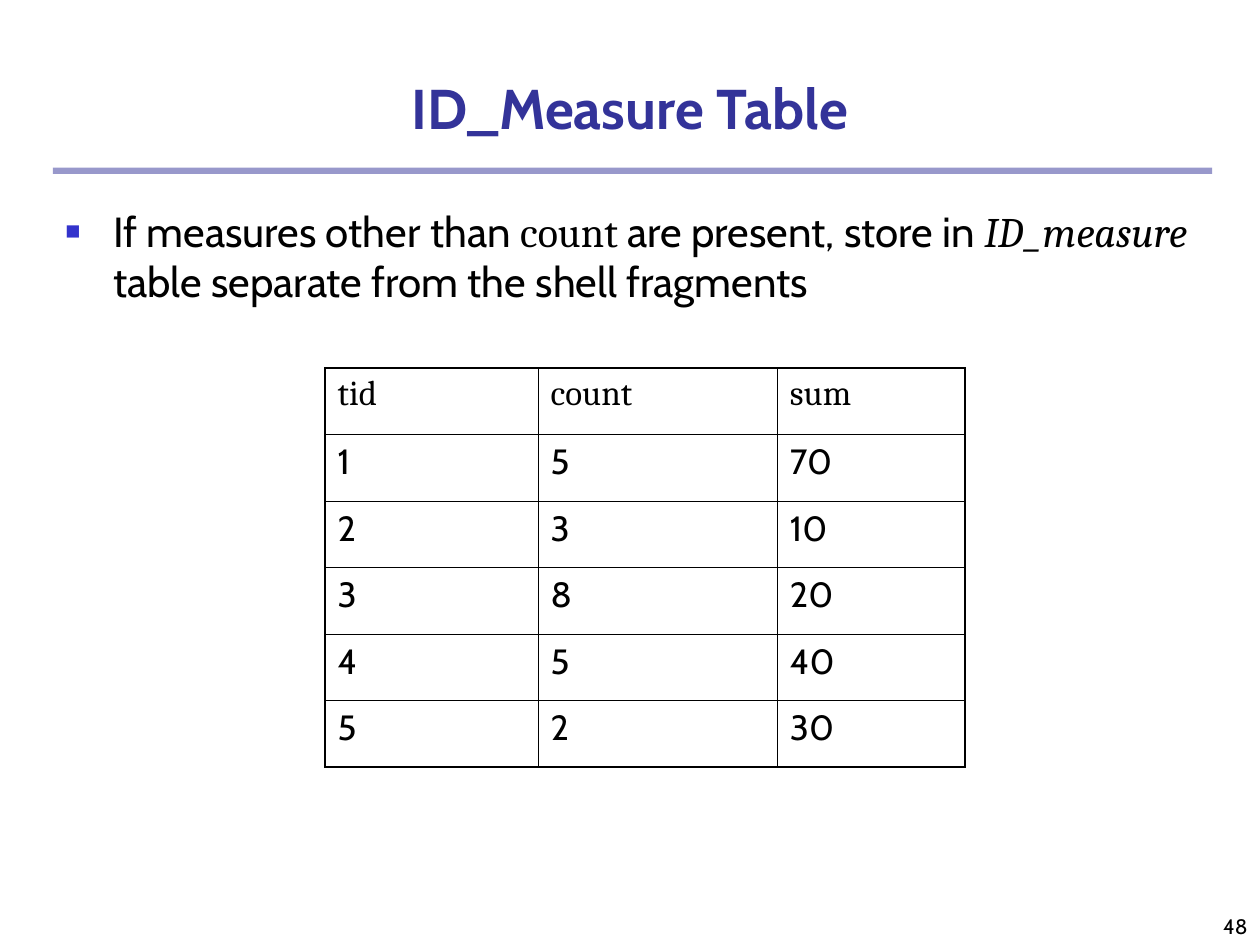
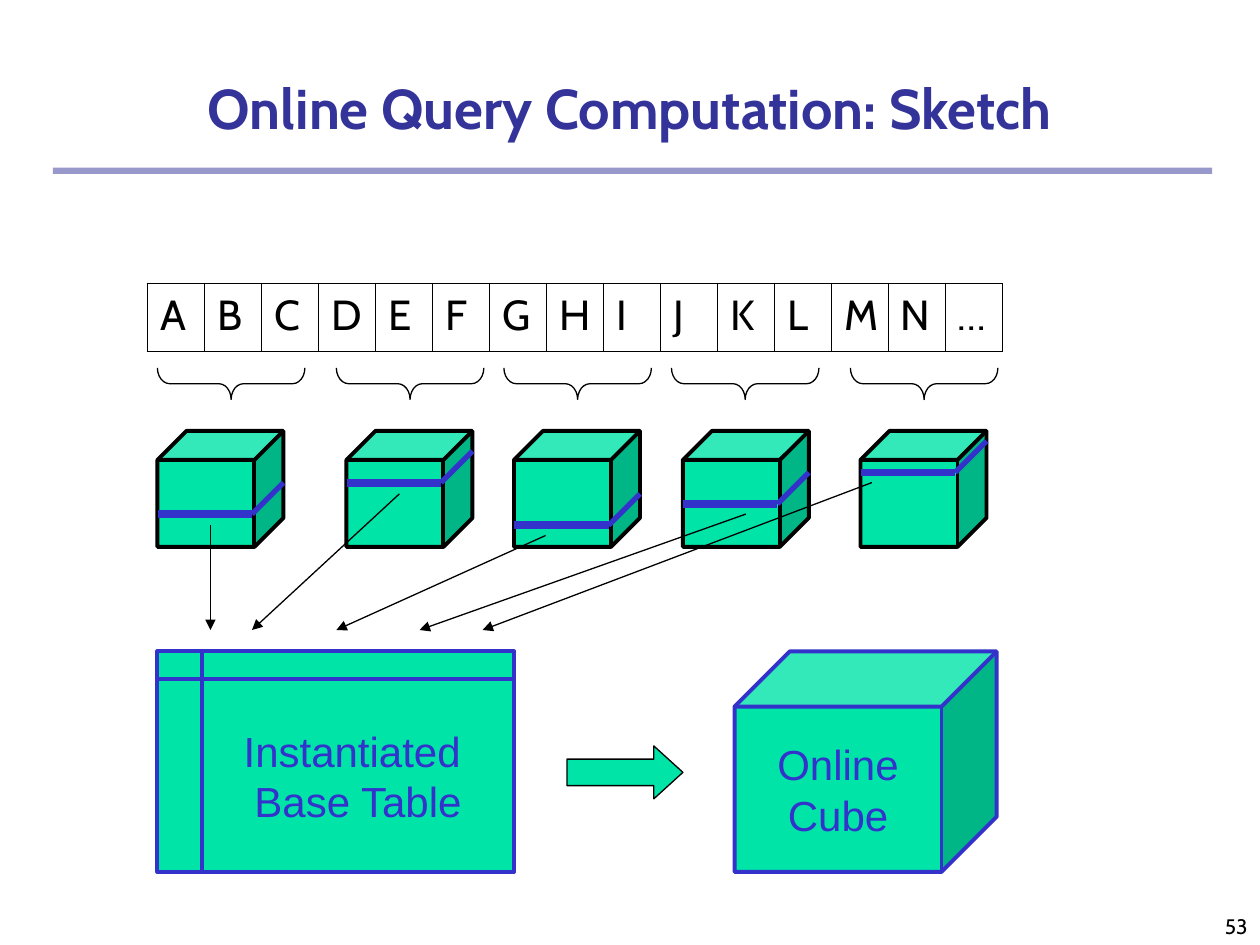
from dataclasses import dataclass

from lxml.etree import SubElement
from pptx import Presentation
from pptx.dml.color import RGBColor
from pptx.enum.shapes import MSO_CONNECTOR as CONN, MSO_SHAPE as SHAPE
from pptx.enum.text import MSO_ANCHOR as ANCHOR, MSO_AUTO_SIZE as AUTO, PP_ALIGN as ALIGN
from pptx.oxml.ns import qn
from pptx.util import Inches, Pt


@dataclass(frozen=True)
class Theme:
    title: RGBColor = RGBColor(0x33, 0x33, 0x99)
    accent: RGBColor = RGBColor(0x33, 0x33, 0xCC)
    green: RGBColor = RGBColor(0x00, 0xE4, 0xA8)
    ink: RGBColor = RGBColor(0, 0, 0)
    sans: str = "Cabin"
    serif: str = "Cambria"
    label: str = "Arial"
    title_pt: int = 32
    body_pt: int = 24
    cell_pt: int = 20
    number_pt: int = 12
    outer_pt: float = 1.08
    inner_pt: float = 0.45


T = Theme()


def add_run(p, text, size, name=T.sans, color=T.ink, **extra):
    r = p.add_run()
    r.text = text
    r.font.color.rgb = color
    for key, value in {"size": Pt(size), "name": name, **extra}.items():
        setattr(r.font, key, value)


def add_line(s, start, end, color, width, arrow=False):
    c = s.shapes.add_connector(CONN.STRAIGHT, *[Inches(v) for v in (*start, *end)])
    c.line.color.rgb = color
    c.line.width = Pt(width)
    if arrow:
        SubElement(c.line._get_or_add_ln(), qn("a:tailEnd"), type="triangle")
    SubElement(c.element.spPr, qn("a:effectLst"))


prs = Presentation()
prs.slide_width, prs.slide_height = Inches(10), Inches(7.5)

# Shared frame: rule, page number, title
slides = []
for title, number in (("ID_Measure Table", "48"), ("Online Query Computation: Sketch", "53")):
    s = prs.slides.add_slide(prs.slide_layouts[5])
    slides.append(s)

    rule = s.shapes.add_shape(SHAPE.RECTANGLE, Inches(0.42), Inches(1.33), Inches(9.2), Inches(0.05))
    rule.shadow.inherit = False
    rule.fill.solid()
    rule.fill.fore_color.rgb = T.title
    SubElement(next(rule.element.spPr.iter(qn("a:srgbClr"))), qn("a:alpha"), val="50000")
    rule.line.fill.background()

    tf = s.shapes.add_textbox(Inches(7.92), Inches(7), Inches(2.08), Inches(0.5)).text_frame
    tf.word_wrap = True
    tf.vertical_anchor = ANCHOR.BOTTOM
    tf.paragraphs[0].alignment = ALIGN.RIGHT
    add_run(tf.paragraphs[0], number, T.number_pt)

    head = s.shapes.title
    for key, value in {"left": 0, "top": 0.42, "width": 10, "height": 0.75}.items():
        setattr(head, key, Inches(value))
    tf = head.text_frame
    tf.auto_size = AUTO.NONE
    tf.vertical_anchor = ANCHOR.BOTTOM
    tf.paragraphs[0].alignment = ALIGN.CENTER
    add_run(tf.paragraphs[0], title, T.title_pt, color=T.title, bold=True)

measure, sketch = slides

# Bullet on the measure slide
tf = measure.shapes.add_textbox(Inches(0.42), Inches(1.58), Inches(9.17), Inches(1)).text_frame
tf.word_wrap = True
p = tf.paragraphs[0]
p.space_before = Pt(6)
pPr = p._p.get_or_add_pPr()
pPr.set("marL", str(Inches(0.38)))
pPr.set("indent", str(-Inches(0.38)))
SubElement(SubElement(pPr, qn("a:buClr")), qn("a:srgbClr"), val=str(T.accent))
SubElement(pPr, qn("a:buSzPct"), val="60000")
SubElement(pPr, qn("a:buFont"), typeface=T.label)
SubElement(pPr, qn("a:buChar"), char="■")
for text, font, italic in (
    ("If measures other than ", T.sans, False),
    ("count", T.serif, False),
    (" are present, store in ", T.sans, False),
    ("ID_measure", T.serif, True),
    (" table separate from the shell fragments", T.sans, False),
):
    add_run(p, text, T.body_pt, font, italic=italic)

# Tables: the measures, and the row of dimensions
measures = [("tid", "count", "sum"), (1, 5, 70), (2, 3, 10), (3, 8, 20), (4, 5, 40), (5, 2, 30)]
dimensions = [tuple("ABCDEFGHIJKLMN…")]
for s, x, y, widths, height, rows, size, gap, head_font in (
    (measure, 2.58, 2.92, (1.69, 1.9, 1.49), 3.17, measures, T.cell_pt, 5, T.serif),
    (sketch, 1.17, 2.25, [6.79 / 15] * 15, 0.54, dimensions, T.body_pt, 6, T.sans),
):
    n_rows, n_cols = len(rows), len(widths)
    table = s.shapes.add_table(n_rows, n_cols, Inches(x), Inches(y),
                               Inches(sum(widths)), Inches(height)).table
    table.first_row = table.horz_banding = False
    for col, width in zip(table.columns, widths):
        col.width = Inches(width)
    for i, row in enumerate(rows):
        for j, value in enumerate(row):
            cell = table.cell(i, j)
            p = cell.text_frame.paragraphs[0]
            p.space_before = Pt(gap)
            add_run(p, str(value), size, T.sans if i else head_font)
            edges = {"lnL": j == 0, "lnR": j == n_cols - 1, "lnT": i == 0, "lnB": i == n_rows - 1}
            for tag, outer in edges.items():
                width = Pt(T.outer_pt if outer else T.inner_pt)
                ln = SubElement(cell._tc.get_or_add_tcPr(), qn("a:" + tag), w=str(width))
                SubElement(SubElement(ln, qn("a:solidFill")), qn("a:srgbClr"), val=str(T.ink))
            cell.fill.background()

# Sketch shapes: kind, box, fill, line, line width, adjustments, rotation, text
cubes = [  # brace left and top, cube left, stripe height, arrow start, arrow end
    (1.25, 2.92, 1.25, 4.08, (1.67, 4.17), 1.67),
    (2.67, 2.92, 2.75, 3.83, (3.17, 3.92), 2),
    (4, 2.92, 4.08, 4.17, (4.33, 4.25), 2.67),
    (5.33, 2.92, 5.42, 4, (5.92, 4.08), 3.33),
    (6.75, 2.92, 6.83, 3.75, (6.92, 3.83), 3.83),
]
brace_w, brace_h, depth = 1.17, 0.25, 0.25
figures = []
for brace_x, brace_y, cube_x, *_ in cubes:
    # A left brace turned to point down, so its box is upright
    box = (brace_x + (brace_w - brace_h) / 2, brace_y - (brace_w - brace_h) / 2, brace_h, brace_w)
    figures += [
        (SHAPE.LEFT_BRACE, box, None, T.ink, 0.75, (0.39, 0.5), 270, ()),
        (SHAPE.CUBE, (cube_x, 3.42, 1, 0.92), T.green, T.ink, 2.25, (0.25,), 0, ()),
    ]
figures += [
    (SHAPE.CUBE, (5.83, 5.17, 2.08, 1.75), T.green, T.accent, 2.25, (0.25,), 0, ("Online", "Cube")),
    (SHAPE.RIGHT_ARROW, (4.5, 5.92, 0.92, 0.42), T.green, T.ink, 0.75, (0.5, 0.55), 0, ()),
    (SHAPE.FLOWCHART_INTERNAL_STORAGE, (1.25, 5.17, 2.83, 1.75), T.green, T.accent, 2.25, (), 0,
     ("Instantiated ", "Base Table")),
]
for kind, box, fill, line, width, adjustments, rotation, lines in figures:
    shape = sketch.shapes.add_shape(kind, *[Inches(v) for v in box])
    shape.shadow.inherit = False
    shape.rotation = rotation
    for i, value in enumerate(adjustments):
        shape.adjustments[i] = value
    if fill is None:
        shape.fill.background()
    else:
        shape.fill.solid()
        shape.fill.fore_color.rgb = fill
    shape.line.color.rgb = line
    shape.line.width = Pt(width)
    tf = shape.text_frame
    tf.word_wrap = False
    tf.vertical_anchor = ANCHOR.MIDDLE
    for i, text in enumerate(lines):
        p = tf.add_paragraph() if i else tf.paragraphs[0]
        p.alignment = ALIGN.CENTER
        add_run(p, text, T.body_pt, T.label, T.accent)

# Stripes around the cubes and arrows to the base table
for _, _, x, y, start, end_x in cubes:
    corner = (x + 0.75, y)
    add_line(sketch, (x, y), corner, T.accent, 4.5)
    add_line(sketch, corner, (x + 0.75 + depth, y - depth), T.accent, 3)
    add_line(sketch, start, (end_x, 5), T.ink, 0.75, arrow=True)

prs.save("out.pptx")
